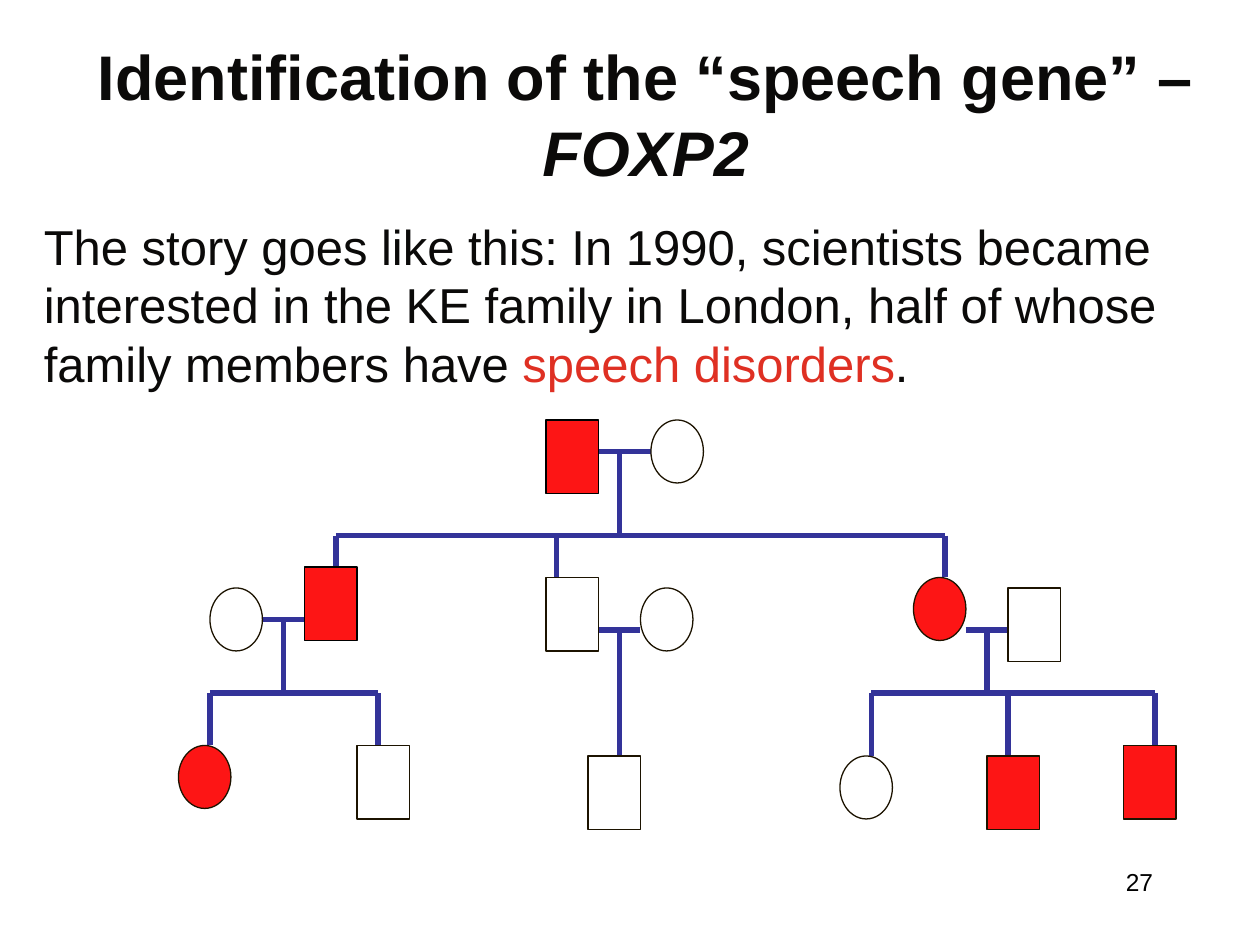
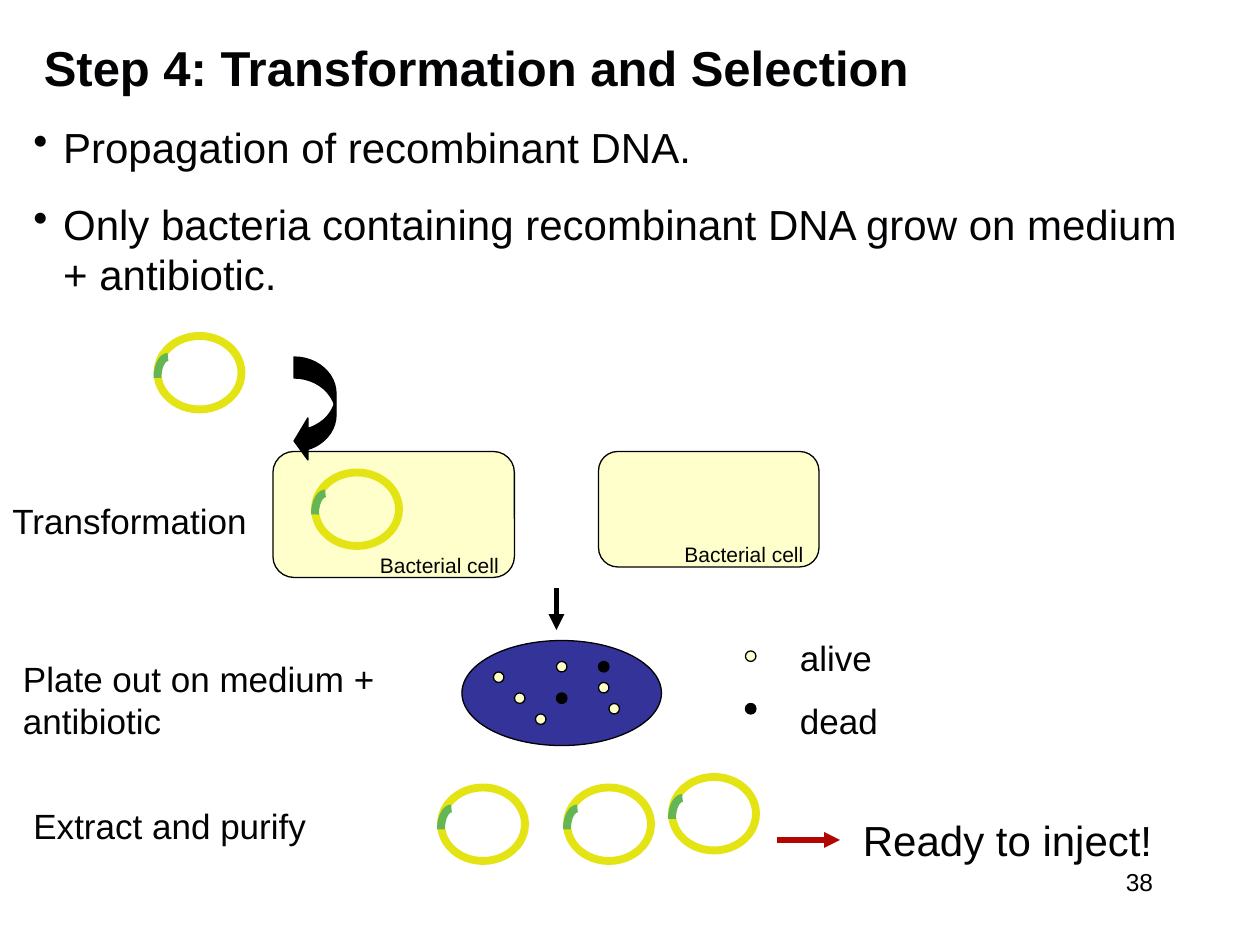
from dataclasses import dataclass
from math import cos, pi, sin

from lxml.etree import SubElement
from pptx import Presentation
from pptx.dml.color import RGBColor
from pptx.enum.shapes import MSO_CONNECTOR, MSO_SHAPE
from pptx.enum.text import PP_ALIGN
from pptx.oxml.ns import qn
from pptx.util import Cm, Length, Pt

COLORS = {
    "white": "FFFFFF",
    "black": "000000",
    "warm text": "0B0A09",
    "text": "030305",
    "highlight": "DF3023",
    "outline": "1C1300",
    "affected": "FD1515",
    "blue": "333399",
    "cell": "FFFFCC",
    "plasmid": "E4E414",
    "insert": "64B654",
    "inject": "B20602",
}
FONT = "Arial"
BULLET_INDENT = Cm(0.6)
THIN, THICK, RING = 0.75, 3, 4.5


def grid(steps: float) -> Length:
    """Length of a number of grid steps, twelve to the inch."""
    return Cm(steps * 2.54 / 12)


def rgb(name: str) -> RGBColor:
    return RGBColor.from_string(COLORS[name])


@dataclass
class Run:
    text: str
    color: str | None = None
    italic: bool = False


@dataclass
class TextBox:
    left: float
    top: float
    width: float
    height: float
    paragraphs: list[list[Run]]
    size: float
    color: str = "text"
    bold: bool = False
    align: PP_ALIGN = PP_ALIGN.LEFT
    bulleted: bool = False
    fill: str | None = None


@dataclass
class Person:
    left: float
    top: float
    male: bool
    affected: bool = False
    outline: str = "outline"


@dataclass
class Family:
    """Couple line, stem down to the sibling bar, and the tops of the children."""
    left: float
    right: float
    couple_y: float
    stem_x: float
    bar_y: float
    children: tuple[tuple[float, float], ...] = ()


def add_bullet(paragraph) -> None:
    properties = paragraph._p.get_or_add_pPr()
    properties.set("marL", str(BULLET_INDENT))
    properties.set("indent", str(-BULLET_INDENT))
    color = SubElement(properties, qn("a:buClr"))
    SubElement(color, qn("a:srgbClr"), val=COLORS["text"])
    SubElement(properties, qn("a:buChar"), char="•")


def add_text(slide, box: TextBox) -> None:
    shape = slide.shapes.add_textbox(*map(grid, (box.left, box.top, box.width, box.height)))
    if box.fill:
        shape.fill.solid()
        shape.fill.fore_color.rgb = rgb(box.fill)
    frame = shape.text_frame
    frame.word_wrap = True
    for index, runs in enumerate(box.paragraphs):
        paragraph = frame.add_paragraph() if index else frame.paragraphs[0]
        paragraph.alignment = box.align
        if index:
            paragraph.space_before = Pt(15)
        if box.bulleted:
            add_bullet(paragraph)
        paragraph.font.name = FONT
        paragraph.font.size = Pt(box.size)
        paragraph.font.bold = box.bold
        paragraph.font.color.rgb = rgb(box.color)
        for part in runs:
            run = paragraph.add_run()
            run.text = part.text
            if part.color:
                run.font.color.rgb = rgb(part.color)
            if part.italic:
                run.font.italic = True


def add_label(slide, text: str, left: float, top: float, width: float,
              height: float = 5.3, size: float = 20) -> None:
    add_text(slide, TextBox(left, top, width, height, [[Run(text)]], size))


def add_page_number(slide, number: int) -> None:
    add_text(slide, TextBox(86, 82, 25, 6, [[Run(str(number))]], 14,
                            color="black", align=PP_ALIGN.RIGHT))


def add_figure(slide, kind: MSO_SHAPE, left: float, top: float, width: float, height: float,
               fill: str | None = None, outline: str = "black", weight: float = THIN):
    shape = slide.shapes.add_shape(kind, *map(grid, (left, top, width, height)))
    style_figure(shape, fill, outline, weight)
    return shape


def style_figure(shape, fill: str | None, outline: str, weight: float) -> None:
    shape.shadow.inherit = False
    if fill:
        shape.fill.solid()
        shape.fill.fore_color.rgb = rgb(fill)
    else:
        shape.fill.background()
    shape.line.color.rgb = rgb(outline)
    shape.line.width = Pt(weight)


def add_line(slide, x1: float, y1: float, x2: float, y2: float,
             color: str = "blue", arrow: bool = False) -> None:
    connector = slide.shapes.add_connector(MSO_CONNECTOR.STRAIGHT, *map(grid, (x1, y1, x2, y2)))
    connector.line.color.rgb = rgb(color)
    connector.line.width = Pt(THICK)
    if arrow:
        SubElement(connector.line._get_or_add_ln(), qn("a:tailEnd"), type="triangle")
    SubElement(connector._element.spPr, qn("a:effectLst"))


def add_family(slide, family: Family) -> None:
    add_line(slide, family.left, family.couple_y, family.right, family.couple_y)
    add_line(slide, family.stem_x, family.couple_y, family.stem_x, family.bar_y)
    if family.children:
        add_line(slide, family.children[0][0], family.bar_y, family.children[-1][0], family.bar_y)
    for x, top in family.children:
        add_line(slide, x, family.bar_y, x, top)


def add_person(slide, person: Person) -> None:
    kind, height = (MSO_SHAPE.RECTANGLE, 7) if person.male else (MSO_SHAPE.OVAL, 6)
    add_figure(slide, kind, person.left, person.top, 5, height,
               "affected" if person.affected else None, person.outline)


def add_plasmid(slide, left: float, top: float) -> None:
    """Ring with a quarter-ellipse insert on its left side."""
    add_figure(slide, MSO_SHAPE.OVAL, left, top, 8, 7, outline="plasmid", weight=RING)
    steps = 12
    angles = [pi / 2 * step / steps for step in range(steps + 1)]
    points = [(grid(left + 1 - sin(angle)), grid(top + 4 - 2 * cos(angle))) for angle in angles]
    builder = slide.shapes.build_freeform(*points[0])
    builder.add_line_segments(points[1:], close=False)
    style_figure(builder.convert_to_shape(), None, "insert", RING)


def add_colony(slide, left: float, top: float, alive: bool) -> None:
    add_figure(slide, MSO_SHAPE.OVAL, left, top, 1, 1, "cell" if alive else "black")


def build_pedigree_slide(slide) -> None:
    add_page_number(slide, 27)
    title = [Run("Identification of the “speech gene” – "), Run("FOXP2", italic=True)]
    add_text(slide, TextBox(3, 3, 117, 15.6, [title], 36, color="warm text", bold=True,
                            align=PP_ALIGN.CENTER, fill="white"))
    story = [
        Run("The story goes like this: In 1990, scientists became interested in the KE family "
            "in London, half of whose family members have "),
        Run("speech disorders", "highlight"),
        Run("."),
    ]
    add_text(slide, TextBox(3, 20, 114, 18, [story], 28, color="warm text"))

    families = [
        Family(57, 62, 43, 59, 51, ((32, 54), (53, 55), (90, 55))),
        Family(25, 29, 59, 27, 66, ((20, 71), (36, 71))),
        Family(57, 61, 60, 59, 72),
        Family(92, 96, 60, 94, 66, ((83, 72), (96, 72), (110, 72))),
    ]
    people = [
        Person(52, 40, male=True, affected=True, outline="black"),
        Person(62, 40, male=False),
        Person(20, 56, male=False),
        Person(29, 54, male=True, affected=True, outline="black"),
        Person(52, 55, male=True),
        Person(61, 56, male=False),
        Person(87, 55, male=False, affected=True),
        Person(96, 56, male=True),
        Person(17, 71, male=False, affected=True),
        Person(34, 71, male=True),
        Person(56, 72, male=True),
        Person(80, 72, male=False),
        Person(94, 72, male=True, affected=True),
        Person(107, 71, male=True, affected=True),
    ]
    for family in families:
        add_family(slide, family)
    for person in people:
        add_person(slide, person)


def build_transformation_slide(slide) -> None:
    add_page_number(slide, 38)
    add_text(slide, TextBox(3, 3, 107, 6.8, [[Run("Step 4: Transformation and Selection")]], 28,
                            bold=True, fill="white"))
    points = [
        [Run("Propagation of recombinant DNA.")],
        [Run("Only bacteria containing recombinant DNA grow on medium + antibiotic.")],
    ]
    add_text(slide, TextBox(2, 11, 112, 18.1, points, 24, bulleted=True))

    for left, width, height in ((26, 23, 12), (57, 21, 11)):
        add_figure(slide, MSO_SHAPE.ROUNDED_RECTANGLE, left, 43, width, height, "cell")
    for left, top in ((15, 32), (30, 45), (64, 74), (42, 75), (54, 75)):
        add_plasmid(slide, left, top)
    uptake = add_figure(slide, MSO_SHAPE.CURVED_LEFT_ARROW, 28, 34, 4, 10, "black")
    for index, value in enumerate((0.5, 1, 0.33)):
        uptake.adjustments[index] = value

    add_figure(slide, MSO_SHAPE.OVAL, 44, 61, 19, 10, "blue")
    living = [(47, 64), (49, 66), (51, 68), (53, 63), (57, 65), (58, 67)]
    dead = [(53, 66), (57, 63)]
    legend_living, legend_dead = (71, 62), (71, 67)
    for left, top in living + [legend_living]:
        add_colony(slide, left, top, alive=True)
    for left, top in dead + [legend_dead]:
        add_colony(slide, left, top, alive=False)

    add_line(slide, 53, 56, 53, 60, "black", arrow=True)
    add_line(slide, 74, 80, 80, 80, "inject", arrow=True)

    add_label(slide, "Transformation", 0, 47, 29)
    add_label(slide, "Plate out on medium + antibiotic", 1, 62, 40, height=9.2)
    add_label(slide, "Extract and purify", 2, 76, 34)
    add_label(slide, "alive", 75, 60, 18)
    add_label(slide, "dead", 75, 66, 10)
    for left, top in ((35, 52), (64, 51)):
        add_label(slide, "Bacterial cell", left, top, 15, height=3.6, size=12)
    add_label(slide, "Ready to inject!", 81, 77, 41, height=6, size=24)


def main() -> None:
    presentation = Presentation()
    presentation.slide_width = Cm(25.4)
    presentation.slide_height = Cm(19.05)
    blank = presentation.slide_layouts[6]
    for build in (build_pedigree_slide, build_transformation_slide):
        build(presentation.slides.add_slide(blank))
    presentation.save("out.pptx")


if __name__ == "__main__":
    main()
